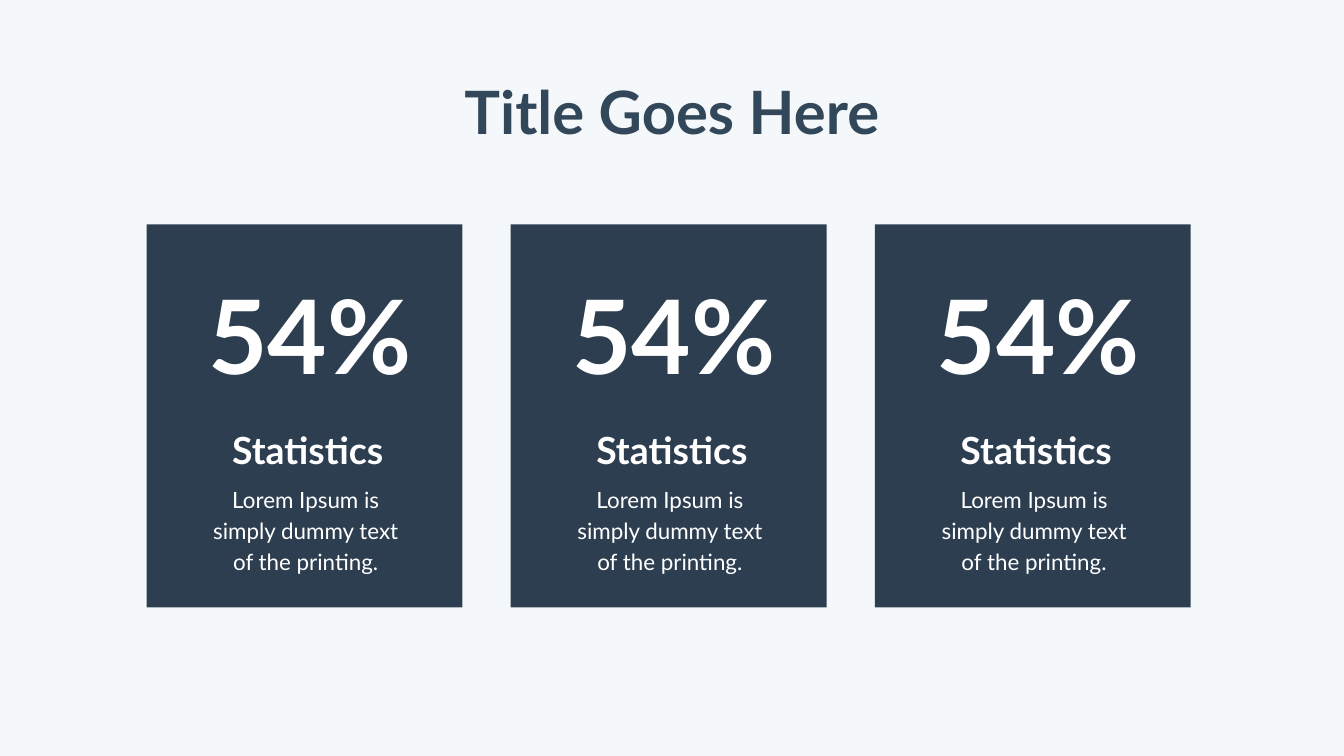
from pptx import Presentation
from pptx.dml.color import RGBColor
from pptx.enum.shapes import MSO_SHAPE
from pptx.enum.text import MSO_ANCHOR, MSO_AUTO_SIZE, PP_ALIGN
from pptx.util import Pt

COLORS = {"background": "F5F8FA", "card": "2D3E50", "title": "33475B", "text": "FFFFFF"}
FONT = "Lato"
INSET = 7.2
CARD_LEFT, CARD_TOP, CARD_WIDTH, CARD_HEIGHT = 78.5, 120.25, 169.2, 205.2
CARD_PITCH = 195.1
STATISTICS = [("54%", "Statistics", "Lorem Ipsum is simply dummy text of the printing.")] * 3


def format_text(holder, text, size, color, bold=False, line_spacing=1.0, space_after=0):
    """Write centred, top-anchored text into a text box or placeholder."""
    frame = holder.text_frame
    frame.text = text
    frame.word_wrap = True
    frame.auto_size = MSO_AUTO_SIZE.NONE
    frame.vertical_anchor = MSO_ANCHOR.TOP
    frame.margin_left = frame.margin_right = Pt(INSET)
    frame.margin_top = frame.margin_bottom = Pt(INSET)
    paragraph = frame.paragraphs[0]
    paragraph.alignment = PP_ALIGN.CENTER
    paragraph.line_spacing = line_spacing
    paragraph.space_before = Pt(0)
    paragraph.space_after = Pt(space_after)
    font = paragraph.runs[0].font
    font.name = FONT
    font.size = Pt(size)
    font.bold = bold
    font.color.rgb = RGBColor.from_string(COLORS[color])


def add_title(slide, left, top, width, height):
    """Place the slide title in the given box."""
    title = slide.shapes.title
    title.left, title.top = Pt(left), Pt(top)
    title.width, title.height = Pt(width), Pt(height)
    format_text(title, "Title Goes Here", 32, "title", bold=True)


def add_statistic_card(slide, left, top, width, height, figure, heading, description):
    """Draw one card with its figure, heading and description."""
    card = slide.shapes.add_shape(
        MSO_SHAPE.RECTANGLE, Pt(left), Pt(top), Pt(width), Pt(height))
    card.shadow.inherit = False
    card.fill.solid()
    card.fill.fore_color.rgb = RGBColor.from_string(COLORS["card"])
    card.line.fill.background()

    def add_label(dx, dy, label_width, label_height, text, size, **style):
        """Add a label at an offset from the card's corner."""
        label = slide.shapes.add_textbox(
            Pt(left + dx), Pt(top + dy), Pt(label_width), Pt(label_height))
        format_text(label, text, size, "text", **style)

    add_label(-1.45, 97.9, 175.7, 32.4, heading, 20,
              bold=True, line_spacing=1.15, space_after=16)
    add_label(23.75, 131, 123.1, 56.9, description, 12, line_spacing=1.15)
    add_label(24.5, 18, 126, 63.4, figure, 55, bold=True)


def main():
    """Build and save the statistics slide."""
    presentation = Presentation()
    presentation.slide_width, presentation.slide_height = Pt(720), Pt(405)
    slide = presentation.slides.add_slide(presentation.slide_layouts[5])
    slide.background.fill.solid()
    slide.background.fill.fore_color.rgb = RGBColor.from_string(COLORS["background"])
    add_title(slide, 162.7, 33.1, 394.6, 41)
    for index, statistic in enumerate(STATISTICS):
        add_statistic_card(slide, CARD_LEFT + index * CARD_PITCH, CARD_TOP,
                           CARD_WIDTH, CARD_HEIGHT, *statistic)
    presentation.save("out.pptx")


if __name__ == "__main__":
    main()
